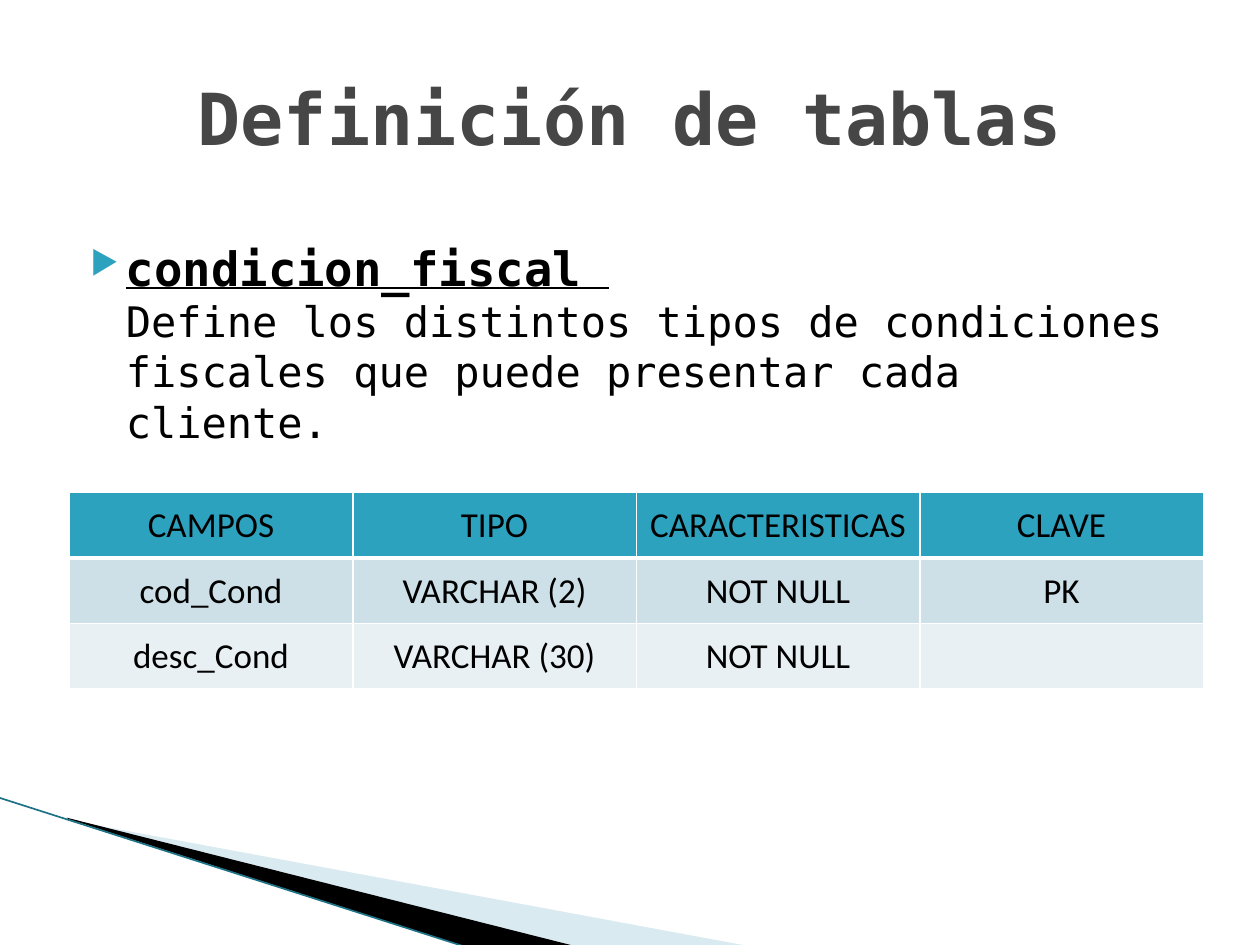
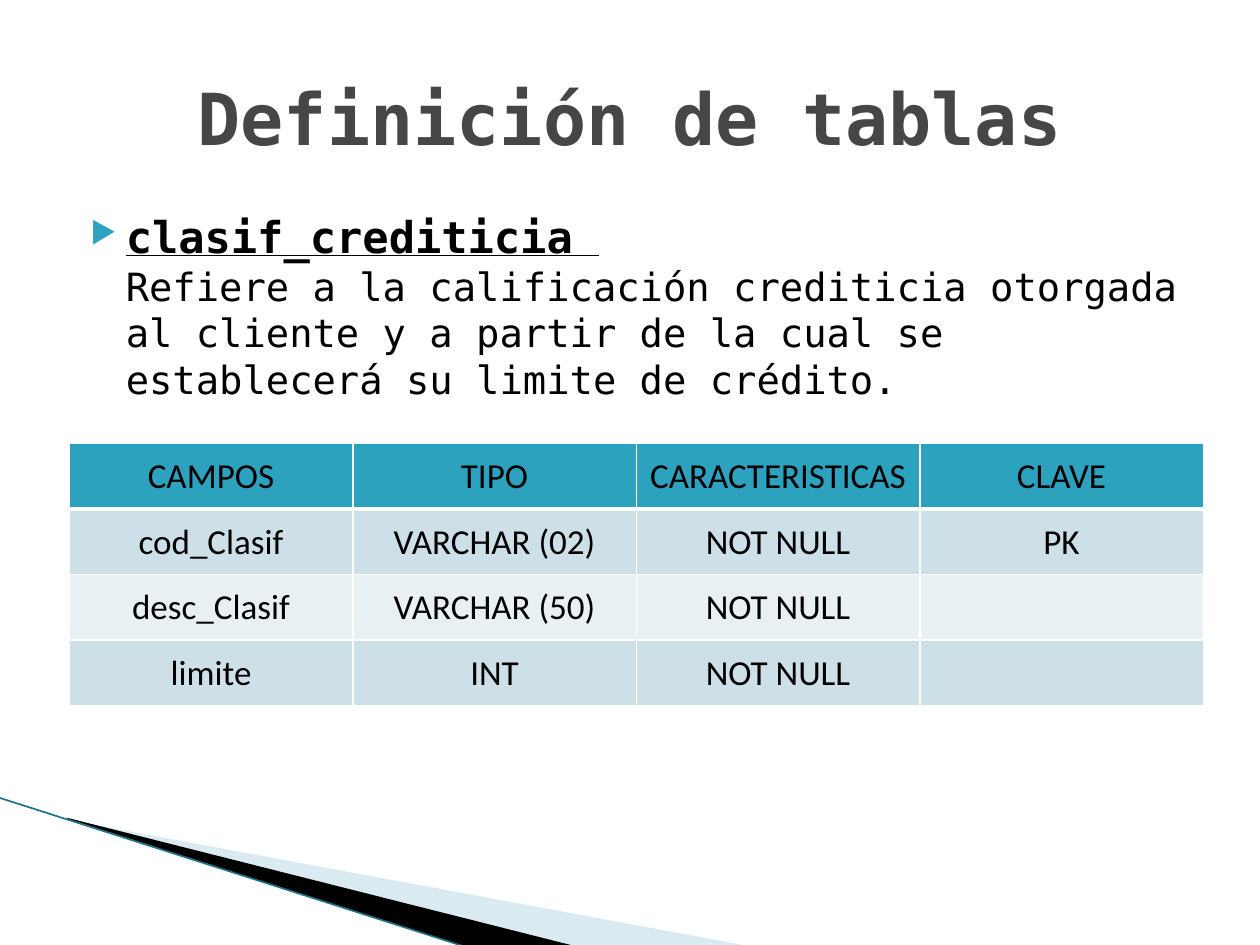
from lxml.etree import SubElement
from pptx import Presentation
from pptx.dml.color import RGBColor
from pptx.enum.shapes import MSO_CONNECTOR
from pptx.enum.text import MSO_ANCHOR, PP_ALIGN
from pptx.oxml.ns import qn
from pptx.util import Inches, Pt

MONO, SANS, SYMBOLS = "DejaVu Sans Mono", "Calibri", "OpenSymbol"
BLACK, WHITE, GREY = "000000", "FFFFFF", "464646"
TEAL, PALE_TEAL, DARK_TEAL = "2DA2BF", "A0CBDC", "1D7286"
BANDS = ("CDE0E8", "E8F0F4")

MARGIN, CONTENT_WIDTH = 0.5, 9
TABLE_LEFT, ROW_HEIGHT = 0.55, 0.52
HEADINGS = ("CAMPOS", "TIPO", "CARACTERISTICAS", "CLAVE")


def color(value):
    return RGBColor.from_string(value)


def style_font(font, name, hex_color, size=None, bold=None):
    font.name = name
    font.color.rgb = color(hex_color)
    if size:
        font.size = Pt(size)
    font.bold = bold


def set_frame(shape, frame):
    """Give a freeform another frame while its outline stays where it is."""
    left, top, width, height = (Inches(length) for length in frame)
    shift_x, shift_y = shape.left - left, shape.top - top
    outline = shape._element.spPr.find(".//" + qn("a:path"))
    outline.set("w", str(width))
    outline.set("h", str(height))
    for point in outline.iter(qn("a:pt")):
        point.set("x", str(int(point.get("x")) + shift_x))
        point.set("y", str(int(point.get("y")) + shift_y))
    shape.left, shape.top, shape.width, shape.height = left, top, width, height


def add_wedge(page, frame, points, fill, opacity=None):
    corners = [(Inches(x), Inches(y)) for x, y in points]
    builder = page.shapes.build_freeform(*corners[0])
    builder.add_line_segments(corners[1:], close=True)
    wedge = builder.convert_to_shape()
    set_frame(wedge, frame)
    wedge.shadow.inherit = False
    wedge.line.fill.background()
    wedge.fill.solid()
    wedge.fill.fore_color.rgb = color(fill)
    if opacity:
        tint = wedge._element.spPr.find(qn("a:solidFill"))[0]
        SubElement(tint, qn("a:alpha"), val=str(opacity * 1000))


def add_corner_decoration(page):
    add_wedge(page, (0.78, 5.47, 4.16, 1.58),
              [(0.55, 6.51), (5.95, 7.51), (4.56, 7.51), (0.55, 6.5)], PALE_TEAL, 40)
    add_wedge(page, (-0.06, 6.33, 4.16, 0.92),
              [(0.53, 6.49), (4.57, 7.51), (3.72, 7.52), (0.54, 6.5)], BLACK)
    edge = page.shapes.add_connector(
        MSO_CONNECTOR.STRAIGHT, Inches(-0.01), Inches(6.33), Inches(3.71), Inches(7.52))
    edge.line.color.rgb = color(DARK_TEAL)
    edge.line.width = Pt(0.95)
    SubElement(edge._element.spPr, qn("a:effectLst"))


def add_text_area(page, top, height):
    """Add a full-width, vertically centred text box and return its first paragraph."""
    box = page.shapes.add_textbox(
        Inches(MARGIN), Inches(top), Inches(CONTENT_WIDTH), Inches(height))
    frame = box.text_frame
    frame.word_wrap = True
    frame.vertical_anchor = MSO_ANCHOR.MIDDLE
    return frame.paragraphs[0]


def add_title(page, text):
    para = add_text_area(page, 0.3, 1.25)
    para.text = text
    para.alignment = PP_ALIGN.CENTER
    style_font(para.font, MONO, GREY, 41, True)


def add_bullet(para):
    properties = para._p.get_or_add_pPr()
    properties.set("marL", str(Inches(0.4)))
    properties.set("indent", str(Inches(-0.28)))
    bullet_color = SubElement(properties, qn("a:buClr"))
    SubElement(bullet_color, qn("a:srgbClr"), val=TEAL)
    SubElement(properties, qn("a:buSzPct"), val="68000")
    SubElement(properties, qn("a:buFont"), typeface=SYMBOLS)
    SubElement(properties, qn("a:buChar"), char="▶")


def add_description(page, top, name, text, name_size, text_size):
    para = add_text_area(page, top, 1.58)
    add_bullet(para)
    style_font(para.font, MONO, BLACK)
    heading = para.add_run()
    heading.text = name + " "
    heading.font.size = Pt(name_size)
    heading.font.bold = heading.font.underline = True
    para.add_line_break()
    body = para.add_run()
    body.text = text
    body.font.size = Pt(text_size)


def add_borders(cell, widths):
    """Draw white borders; widths are points for left, right, top and bottom."""
    properties = cell._tc.get_or_add_tcPr()
    for position, (side, width) in enumerate(zip("LRTB", widths)):
        border = properties.makeelement(qn(f"a:ln{side}"), {"w": str(Pt(width))})
        fill = SubElement(border, qn("a:solidFill"))
        SubElement(fill, qn("a:srgbClr"), val=WHITE)
        properties.insert(position, border)


def fill_cell(cell, text, fill):
    cell.fill.solid()
    cell.fill.fore_color.rgb = color(fill)
    cell.vertical_anchor = MSO_ANCHOR.MIDDLE
    cell.margin_left = cell.margin_right = cell.margin_top = Inches(0.01)
    cell.margin_bottom = 0
    para = cell.text_frame.paragraphs[0]
    para.text = text
    para.alignment = PP_ALIGN.CENTER
    style_font(para.font, SANS, BLACK, 20)


def add_field_table(page, top, fields):
    rows = [HEADINGS, *fields]
    table = page.shapes.add_table(
        len(rows), len(HEADINGS), Inches(TABLE_LEFT), Inches(top),
        Inches(CONTENT_WIDTH), Inches(ROW_HEIGHT * len(rows))).table
    table.first_row = table.horz_banding = False
    for row, values in enumerate(rows):
        fill = BANDS[(row - 1) % 2] if row else TEAL
        widths = (1, 1, 3 if row == 1 else 1, 1 if row else 3)
        for column, text in enumerate(values):
            cell = table.cell(row, column)
            fill_cell(cell, text, fill)
            add_borders(cell, widths)


def add_definition_slide(deck, description, table_top, fields):
    page = deck.slides.add_slide(deck.slide_layouts[6])
    page.background.fill.solid()
    page.background.fill.fore_color.rgb = color(WHITE)
    add_corner_decoration(page)
    add_description(page, *description)
    add_title(page, "Definición de tablas")
    add_field_table(page, table_top, fields)


def main():
    deck = Presentation()
    deck.slide_width, deck.slide_height = Inches(10), Inches(7.5)
    add_definition_slide(
        deck,
        (1.93, "condicion_fiscal",
         "Define los distintos tipos de condiciones fiscales que puede presentar cada cliente.",
         27, 24),
        3.91,
        [("cod_Cond", "VARCHAR (2)", "NOT NULL", "PK"),
         ("desc_Cond", "VARCHAR (30)", "NOT NULL", "")])
    add_definition_slide(
        deck,
        (1.64, "clasif_crediticia",
         "Refiere a la calificación crediticia otorgada al cliente y a partir de la cual "
         "se establecerá su limite de crédito.",
         25, 22.2),
        3.52,
        [("cod_Clasif", "VARCHAR (02)", "NOT NULL", "PK"),
         ("desc_Clasif", "VARCHAR (50)", "NOT NULL", ""),
         ("limite", "INT", "NOT NULL", "")])
    deck.save("out.pptx")


if __name__ == "__main__":
    main()
